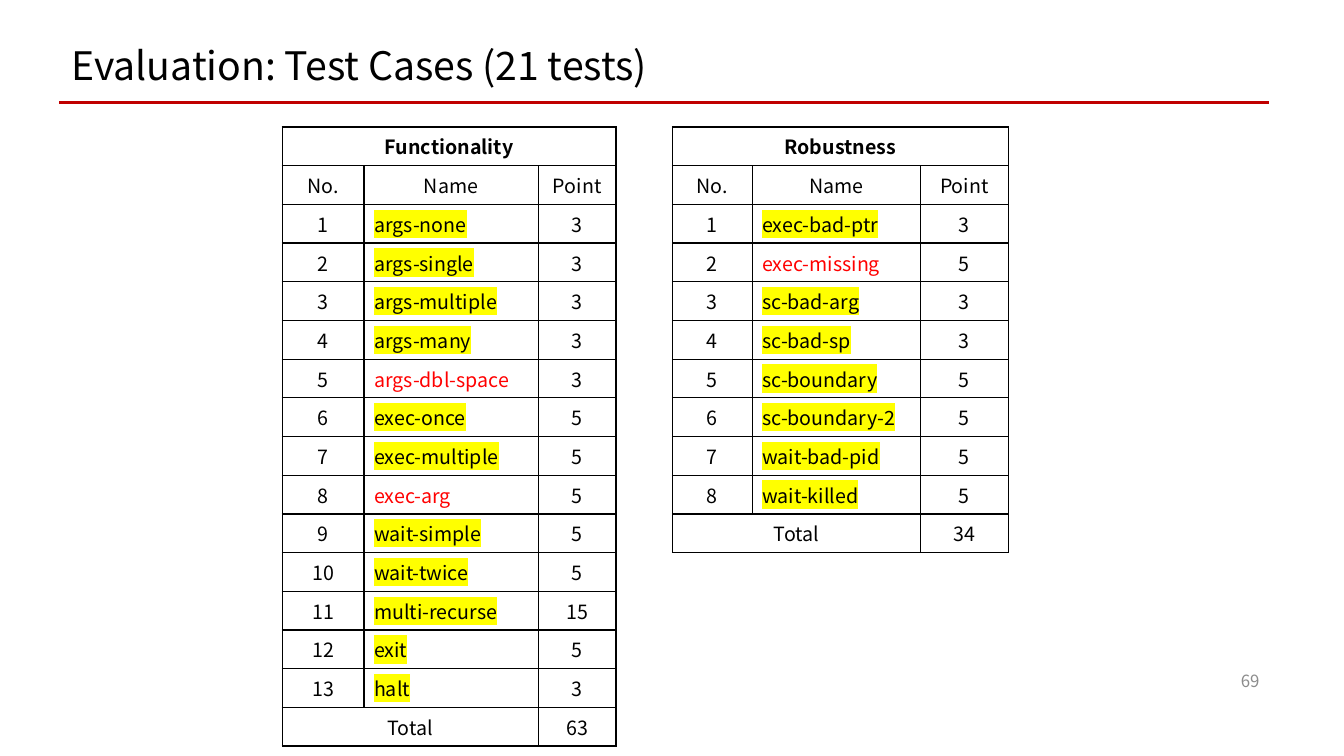
from dataclasses import dataclass

import pptx
import pptx.dml.color
import pptx.enum.shapes
import pptx.enum.text
import pptx.oxml
import pptx.oxml.ns
import pptx.slide
import pptx.table
import pptx.text.text
import pptx.util
from lxml import etree

Inches = pptx.util.Inches
RGBColor = pptx.dml.color.RGBColor
Align = pptx.enum.text.PP_ALIGN
Anchor = pptx.enum.text.MSO_ANCHOR
qn = pptx.oxml.ns.qn

FONT = "Noto Sans CJK KR"
BLACK = RGBColor(0x00, 0x00, 0x00)
RED = RGBColor(0xFF, 0x00, 0x00)
DARK_RED = RGBColor(0xC0, 0x00, 0x00)
GRAY = RGBColor(0x8C, 0x8C, 0x8C)
YELLOW = RGBColor(0xFF, 0xFF, 0x00)
TITLE_ONLY = 5


@dataclass(frozen=True)
class Test:
    name: str
    points: int
    highlighted: bool = True


@dataclass(frozen=True)
class TestGroup:
    title: str
    left: float
    column_widths: tuple[float, float, float]
    row_height: float
    tests: tuple[Test, ...]


GROUPS = (
    TestGroup("Functionality", 2.8, (0.81, 1.73, 0.77), 0.37, (
        Test("args-none", 3),
        Test("args-single", 3),
        Test("args-multiple", 3),
        Test("args-many", 3),
        Test("args-dbl-space", 3, highlighted=False),
        Test("exec-once", 5),
        Test("exec-multiple", 5),
        Test("exec-arg", 5, highlighted=False),
        Test("wait-simple", 5),
        Test("wait-twice", 5),
        Test("multi-recurse", 15),
        Test("exit", 5),
        Test("halt", 3),
    )),
    TestGroup("Robustness", 6.67, (0.79, 1.67, 0.87), 0.36, (
        Test("exec-bad-ptr", 3),
        Test("exec-missing", 5, highlighted=False),
        Test("sc-bad-arg", 3),
        Test("sc-bad-sp", 3),
        Test("sc-boundary", 5),
        Test("sc-boundary-2", 5),
        Test("wait-bad-pid", 5),
        Test("wait-killed", 5),
    )),
)


def write_text(
    frame: pptx.text.text.TextFrame,
    text: str,
    *,
    size: float = 14,
    color: RGBColor = BLACK,
    bold: bool = False,
    align: Align = Align.CENTER,
    highlight: RGBColor | None = None,
    line_spacing: float | None = None,
) -> None:
    paragraph = frame.paragraphs[0]
    paragraph.alignment = align
    paragraph.line_spacing = line_spacing
    run = paragraph.add_run()
    run.text = text
    run.font.size = pptx.util.Pt(size)
    run.font.bold = bold
    run.font.color.rgb = color
    run.font.name = FONT
    if highlight is not None:
        mark = etree.Element(qn("a:highlight"))
        etree.SubElement(mark, qn("a:srgbClr"), val=str(highlight))
        run.font._element.find(qn("a:latin")).addprevious(mark)


def format_cell(cell: pptx.table._Cell) -> None:
    """Give the cell thin black borders, no fill and centred height."""
    properties = cell._tc.get_or_add_tcPr()
    for side in ("a:lnL", "a:lnR", "a:lnT", "a:lnB"):
        border = etree.SubElement(properties, qn(side), w=str(pptx.util.Pt(1)))
        fill = etree.SubElement(border, qn("a:solidFill"))
        etree.SubElement(fill, qn("a:srgbClr"), val=str(BLACK))
    cell.fill.background()
    cell.vertical_anchor = Anchor.MIDDLE


def add_test_table(slide: pptx.slide.Slide, group: TestGroup) -> None:
    row_count = len(group.tests) + 3
    table = slide.shapes.add_table(
        row_count, 3, Inches(group.left), Inches(1.26),
        Inches(sum(group.column_widths)), Inches(group.row_height * row_count),
    ).table
    table.first_row = False
    table.horz_banding = False
    for column, width in zip(table.columns, group.column_widths):
        column.width = Inches(width)
    for row in table.rows:
        row.height = Inches(group.row_height)
    for cell in table.iter_cells():
        format_cell(cell)

    last = row_count - 1
    table.cell(0, 0).merge(table.cell(0, 2))
    table.cell(last, 0).merge(table.cell(last, 1))
    write_text(table.cell(0, 0).text_frame, group.title, bold=True)
    for column_index, heading in enumerate(("No.", "Name", "Point")):
        write_text(table.cell(1, column_index).text_frame, heading)
    for number, test in enumerate(group.tests, start=1):
        number_cell, name_cell, points_cell = table.rows[number + 1].cells
        write_text(number_cell.text_frame, str(number))
        write_text(
            name_cell.text_frame, test.name, align=Align.LEFT,
            color=BLACK if test.highlighted else RED,
            highlight=YELLOW if test.highlighted else None,
        )
        write_text(points_cell.text_frame, str(test.points))
    total = sum(test.points for test in group.tests)
    write_text(table.cell(last, 0).text_frame, "Total")
    write_text(table.cell(last, 2).text_frame, str(total))


def add_title(slide: pptx.slide.Slide, text: str) -> None:
    title = slide.shapes.title
    title.left, title.top = Inches(0.61), Inches(0.41)
    title.width, title.height = Inches(11.5), Inches(0.53)
    frame = title.text_frame
    frame.auto_size = pptx.enum.text.MSO_AUTO_SIZE.NONE
    frame.vertical_anchor = Anchor.MIDDLE
    write_text(frame, text, size=28, align=Align.LEFT, line_spacing=0.9)


def add_title_rule(slide: pptx.slide.Slide) -> None:
    rule = slide.shapes.add_connector(
        pptx.enum.shapes.MSO_CONNECTOR.STRAIGHT,
        Inches(0.59), Inches(1.02), Inches(12.59), Inches(1.02),
    )
    rule.line.color.rgb = DARK_RED
    rule.line.width = pptx.util.Pt(2.25)
    etree.SubElement(rule._element.spPr, qn("a:effectLst"))


def add_page_number(slide: pptx.slide.Slide, number: int) -> None:
    frame = slide.shapes.add_textbox(
        Inches(12.1), Inches(6.55), Inches(0.49), Inches(0.4)
    ).text_frame
    frame.word_wrap = True
    frame.vertical_anchor = Anchor.MIDDLE
    write_text(frame, str(number), size=12, color=GRAY, align=Align.RIGHT)


def main() -> None:
    presentation = pptx.Presentation()
    presentation.slide_width = Inches(13.33)
    presentation.slide_height = Inches(7.5)
    slide = presentation.slides.add_slide(presentation.slide_layouts[TITLE_ONLY])
    for group in GROUPS:
        add_test_table(slide, group)
    test_count = sum(len(group.tests) for group in GROUPS)
    add_title(slide, f"Evaluation: Test Cases ({test_count} tests)")
    add_title_rule(slide)
    add_page_number(slide, 69)
    presentation.save("out.pptx")


if __name__ == "__main__":
    main()
